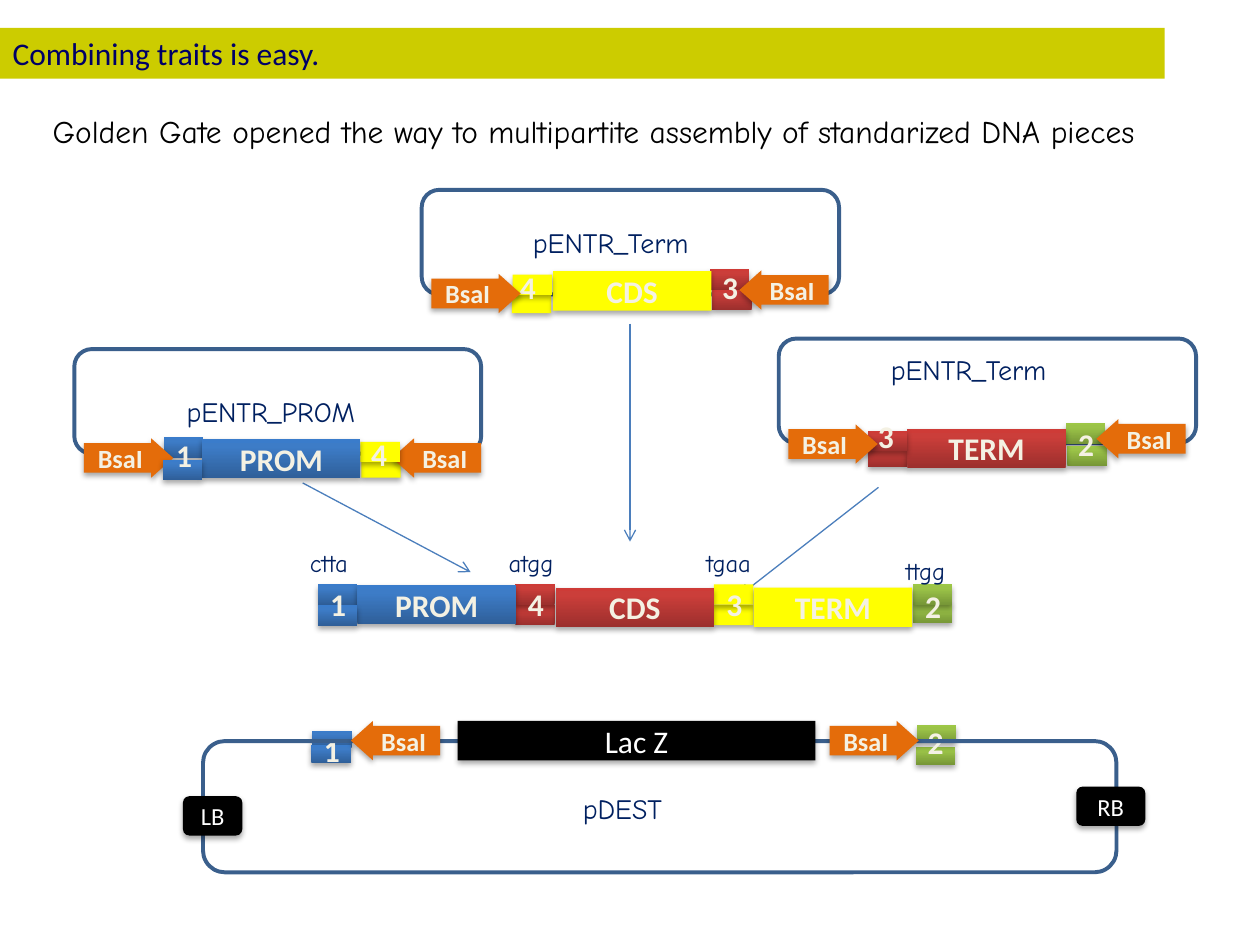
from lxml import etree
from pptx import Presentation
from pptx.dml.color import RGBColor
from pptx.enum.shapes import MSO_CONNECTOR, MSO_SHAPE
from pptx.enum.text import MSO_ANCHOR, MSO_AUTO_SIZE, PP_ALIGN
from pptx.oxml import parse_xml
from pptx.oxml.ns import nsdecls, qn
from pptx.util import Pt

THEME = {
    "body": "Calibri", "hand": "Comic Neue",
    "large": 18, "label": 16, "site": 15, "small": 14,
    "bar": "CCCC00", "title": "000066", "ink": "000000", "white": "FFFFFF",
    "navy": "002060", "cream": "F4F1E3", "frame": "3A5F8C", "link": "4B7EBC",
    "orange": "E46C0A", "yellow": "FFFF00", "black": "000000",
    # Gradients: bottom, 80 %, top
    "blue": ("2F5F99", "3D7CC7", "3A7CCB"),
    "red": ("9C2F2D", "CB3E3A", "CE3B37"),
    "green": ("779737", "9BC348", "9DC746"),
}


def write(s, text, size, color, font=THEME["body"], bold=False,
          align=PP_ALIGN.CENTER, anchor=MSO_ANCHOR.MIDDLE, wrap=False):
    tf = s.text_frame
    tf.word_wrap = wrap
    tf.auto_size = MSO_AUTO_SIZE.NONE
    tf.vertical_anchor = anchor
    p = tf.paragraphs[0]
    p.alignment = align
    r = p.add_run()
    r.text = text
    r.font.name, r.font.size, r.font.bold = font, Pt(size), bold
    r.font.color.rgb = RGBColor.from_string(color)


def add_solid(kind, x, y, w, h, color):
    """Add a borderless shape with a flat or gradient fill and a soft shadow."""
    s = shapes.add_shape(kind, Pt(x), Pt(y), Pt(w), Pt(h))
    s.line.fill.background()
    fill = THEME[color]
    if isinstance(fill, str):
        s.fill.solid()
        s.fill.fore_color.rgb = RGBColor.from_string(fill)
    else:
        stops = "".join(f'<a:gs pos="{pos}"><a:srgbClr val="{c}"/></a:gs>'
                        for pos, c in zip((0, 80000, 100000), fill))
        s._element.spPr.find(qn("a:prstGeom")).addnext(parse_xml(
            f'<a:gradFill {nsdecls("a")} rotWithShape="1"><a:gsLst>{stops}</a:gsLst>'
            '<a:lin ang="16200000" scaled="0"/></a:gradFill>'))
    s._element.spPr.append(parse_xml(
        f'<a:effectLst {nsdecls("a")}><a:outerShdw blurRad="40000" dist="23000" '
        'dir="5400000" rotWithShape="0"><a:srgbClr val="000000">'
        '<a:alpha val="35000"/></a:srgbClr></a:outerShdw></a:effectLst>'))
    return s


prs = Presentation()
prs.slide_width, prs.slide_height = Pt(720), Pt(540)
slide = prs.slides.add_slide(prs.slide_layouts[5])
shapes = slide.shapes

title = shapes.title
title.left, title.top, title.width, title.height = Pt(0), Pt(16), Pt(665.5), Pt(29)
title.fill.solid()
title.fill.fore_color.rgb = RGBColor.from_string(THEME["bar"])
write(title, "Combining traits is easy.", THEME["large"], THEME["title"],
      align=PP_ALIGN.LEFT, wrap=True)

# Plasmid backbones
for x, y, w, h in [(42.5, 199.5, 232.5, 59.75), (445, 193.5, 238.5, 59.75),
                   (241, 108.5, 238.5, 59.75)]:
    s = shapes.add_shape(MSO_SHAPE.ROUNDED_RECTANGLE, Pt(x), Pt(y), Pt(w), Pt(h))
    s.shadow.inherit = False
    s.fill.background()
    s.line.color.rgb = RGBColor.from_string(THEME["frame"])
    s.line.width = Pt(2.25)

# Ligation arrows from the entry plasmids to the assembled construct
for x1, y1, x2, y2 in [(173, 276, 269, 327), (360, 185, 360, 309.5),
                       (502, 278.5, 422.5, 340.5)]:
    c = shapes.add_connector(MSO_CONNECTOR.STRAIGHT, Pt(x1), Pt(y1), Pt(x2), Pt(y2))
    c.line.color.rgb = RGBColor.from_string(THEME["link"])
    c.line.width = Pt(0.75)
    etree.SubElement(c.line._get_or_add_ln(), qn("a:tailEnd"), type="arrow")
    etree.SubElement(c._element.spPr, qn("a:effectLst"))

# Parts from back to front: kind, left, top, colour, text
SIZES = {"tile": (22.5, 11.5), "tab": (22.5, 10), "gene": (90.5, 22.5),
         "right": (51, 22.5), "left": (51, 22.5), "digit": (24, 28.8)}
ARROWS = {"right": MSO_SHAPE.RIGHT_ARROW, "left": MSO_SHAPE.LEFT_ARROW}
PARTS = [
    # pENTR_PROM
    ("tile", 93.5, 250, "blue", ""), ("tile", 206.5, 261.5, "yellow", ""),
    ("right", 48, 250.5, "orange", "BsaI"), ("left", 224, 250.5, "orange", "BsaI"),
    ("tile", 206, 252.5, "yellow", ""), ("gene", 115.5, 250.75, "blue", "PROM"),
    ("tile", 93, 262.75, "blue", ""),
    ("digit", 205, 245, "", "4"), ("digit", 93.5, 245.5, "", "1"),
    # pENTR_Term with the coding sequence
    ("tile", 292.5, 167.5, "yellow", ""), ("tile", 405.5, 154, "red", ""),
    ("tile", 407, 165.5, "red", ""), ("gene", 316, 155, "yellow", "CDS"),
    ("tile", 293, 157, "yellow", ""), ("digit", 290, 149.5, "", "4"),
    ("right", 246.5, 156.5, "orange", "BsaI"), ("left", 422.5, 154.5, "orange", "BsaI"),
    ("digit", 405.5, 149.5, "", "3"),
    # pENTR_Term with the terminator
    ("tile", 496, 255.5, "red", ""), ("tile", 609, 242, "green", ""),
    ("tile", 610, 254.75, "green", ""), ("gene", 518.5, 245, "red", "TERM"),
    ("tile", 496, 246.25, "red", ""), ("digit", 494.5, 235, "", "3"),
    ("right", 450.5, 242.5, "orange", "BsaI"), ("left", 626.5, 239.5, "orange", "BsaI"),
    ("digit", 609, 239.5, "", "2"),
    # Assembled construct
    ("tile", 181.5, 334, "blue", ""), ("tile", 294.5, 345.5, "red", ""),
    ("tile", 294.5, 334, "red", ""), ("gene", 204.25, 334.25, "blue", "PROM"),
    ("tile", 181.5, 346, "blue", ""), ("tile", 408, 345.75, "yellow", ""),
    ("tile", 408, 334, "yellow", ""), ("gene", 317.5, 335.75, "red", "CDS"),
    ("tile", 521.5, 344.75, "green", ""), ("tile", 521.5, 334, "green", ""),
    ("gene", 430.75, 335.75, "yellow", "TERM"),
    ("digit", 181.5, 330.5, "", "1"), ("digit", 521.5, 332, "", "2"),
    ("digit", 294.5, 330.5, "", "4"), ("digit", 408, 330.5, "", "3"),
    # pDEST
    ("tab", 178.5, 417.5, "blue", ""), ("tab", 523.5, 427, "green", ""),
    ("tab", 178, 426, "blue", ""), ("tab", 524, 414.5, "green", ""),
    ("digit", 178, 414, "", "1"), ("digit", 523, 409.5, "", "2"),
]
for kind, x, y, color, text in PARTS:
    w, h = SIZES[kind]
    if kind == "digit":
        s = shapes.add_textbox(Pt(x), Pt(y), Pt(w), Pt(h))
        write(s, text, THEME["large"], THEME["cream"], bold=True,
              align=PP_ALIGN.LEFT, anchor=MSO_ANCHOR.TOP)
        continue
    s = add_solid(ARROWS.get(kind, MSO_SHAPE.RECTANGLE), x, y, w, h, color)
    if kind in ARROWS:
        s.adjustments[0], s.adjustments[1] = 0.75, 0.56
    if text:
        size = THEME["site"] if kind in ARROWS else THEME["large"]
        write(s, text, size, THEME["cream"], bold=True)

# Destination vector, drawn over its overhang tabs
s = shapes.add_shape(MSO_SHAPE.ROUNDED_RECTANGLE, Pt(116), Pt(423.5), Pt(522), Pt(75))
s.shadow.inherit = False
s.fill.background()
s.line.color.rgb = RGBColor.from_string(THEME["frame"])
s.line.width = Pt(2.25)
for kind, x in [("left", 200.5), ("right", 474)]:
    s = add_solid(ARROWS[kind], x, 412, *SIZES[kind], "orange")
    s.adjustments[0], s.adjustments[1] = 0.75, 0.56
    write(s, "BsaI", THEME["site"], THEME["cream"], bold=True)
for kind, x, y, w, text, size in [
        (MSO_SHAPE.ROUNDED_RECTANGLE, 104.5, 455, 34, "LB", "small"),
        (MSO_SHAPE.ROUNDED_RECTANGLE, 615, 449.5, 39.5, "RB", "small"),
        (MSO_SHAPE.RECTANGLE, 261.5, 412, 204.5, "Lac Z", "large")]:
    s = add_solid(kind, x, y, w, 22.5, "black")
    write(s, text, THEME[size], THEME["white"])

# Handwritten labels
for x, y, w, text, size, color in [
        (99.5, 222, 123, "pENTR_PROM", "label", "navy"),
        (297.5, 125.5, 117, "pENTR_Term", "label", "navy"),
        (502, 198, 117, "pENTR_Term", "label", "navy"),
        (326, 448.5, 67, "pDEST", "label", "navy"),
        (170, 309.5, 42.5, "ctta", "small", "navy"),
        (283.5, 309.5, 43, "atgg", "small", "navy"),
        (396.5, 309.5, 42.5, "tgaa", "small", "navy"),
        (510.5, 314, 42.5, "ttgg", "small", "navy"),
        (23, 60.5, 700.5, "Golden Gate opened the way to multipartite assembly "
         "of standarized DNA pieces", "large", "ink")]:
    s = shapes.add_textbox(Pt(x), Pt(y), Pt(w), Pt(THEME[size] * 1.2 + 7.2))
    write(s, text, THEME[size], THEME[color], font=THEME["hand"],
          align=PP_ALIGN.LEFT, anchor=MSO_ANCHOR.TOP)

prs.save("out.pptx")
